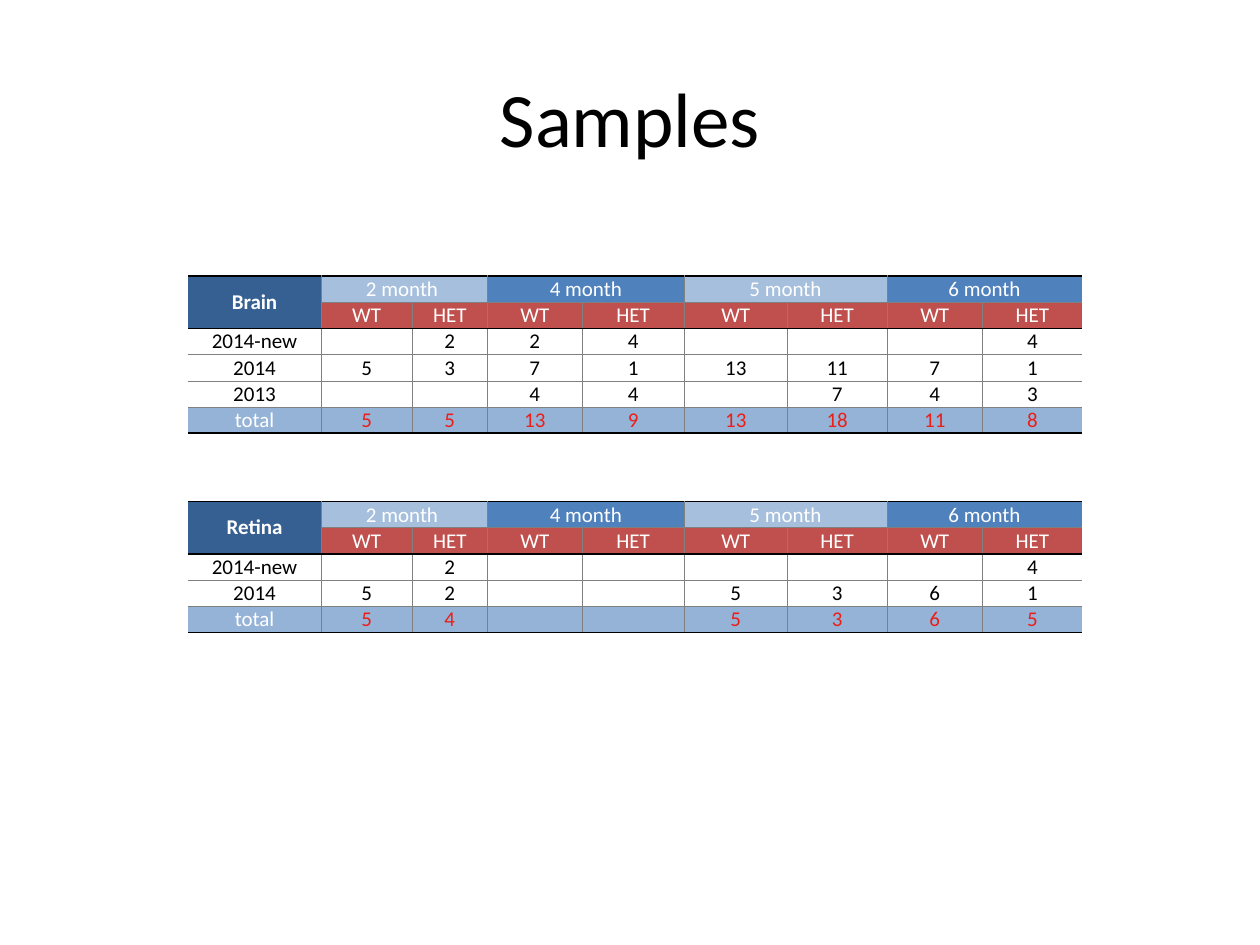
from dataclasses import dataclass
from typing import Optional

from lxml.etree import SubElement
from pptx import Presentation
from pptx.dml.color import RGBColor as RGB
from pptx.enum.text import MSO_ANCHOR as Anchor, PP_ALIGN as Align
from pptx.oxml.ns import qn
from pptx.util import Inches, Pt

FONT = "Calibri"
COLORS = {
    "black": "000000", "white": "FFFFFF", "grid": "808080", "corner": "376092",
    "month": "4F81BD", "group": "C0504D", "total": "95B3D7", "sum": "EB1E18",
}
COL_WIDTHS = [1.06, 0.72, 0.6, 0.75, 0.81, 0.82, 0.79, 0.76, 0.79]
ROW_HEIGHT = 0.208
LEFT, WIDTH = 1.49, 7.11
MONTHS = ["2 month\u00a0", "4 month", "5 month", "6 month"]
GROUPS = ["WT", "HET"]


@dataclass
class SampleTable:
    tissue: str
    top: float
    rows: list[list]  # label, then one count per month and group


@dataclass
class CellStyle:
    color: str = "black"
    fill: Optional[str] = None
    alpha: int = 100
    bold: bool = False
    anchor: Anchor = Anchor.BOTTOM


TABLES = [
    SampleTable("Brain", 2.19, [
        ["2014-new", "", 2, 2, 4, "", "", "", 4],
        ["2014", 5, 3, 7, 1, 13, 11, 7, 1],
        ["2013", "", "", 4, 4, "", 7, 4, 3],
        ["total", 5, 5, 13, 9, 13, 18, 11, 8],
    ]),
    SampleTable("Retina", 3.98, [
        ["2014-new", "", 2, "", "", "", "", "", 4],
        ["2014", 5, 2, "", "", 5, 3, 6, 1],
        ["total", 5, 4, "", "", 5, 3, 6, 5],
    ]),
]


def set_border(cell, side: str, color: Optional[str], width: float) -> None:
    ln = SubElement(cell._tc.get_or_add_tcPr(), qn(f"a:ln{side}"), w=str(Pt(width)))
    if color is None:
        SubElement(ln, qn("a:noFill"))
    else:
        fill = SubElement(ln, qn("a:solidFill"))
        SubElement(fill, qn("a:srgbClr"), val=COLORS[color])


def draw_borders(cell, row: int, col: int, n_rows: int) -> None:
    """Grey grid, open sides, black rules around the header and at the end."""
    for side, edge in (("L", col), ("R", col + cell.span_width)):
        outer = edge in (0, len(COL_WIDTHS))
        set_border(cell, side, None if outer else "grid", 0.25)
    for side, edge in (("T", row), ("B", row + cell.span_height)):
        rule = edge in (0, 2, n_rows)
        set_border(cell, side, "black" if rule else "grid", 1 if rule else 0.25)


def style_text(p, size: float, color: str, bold: bool = False) -> None:
    p.alignment = Align.CENTER
    p.font.name, p.font.size, p.font.bold = FONT, Pt(size), bold
    p.font.color.rgb = RGB.from_string(COLORS[color])


def fill_cell(cell, text: str, style: CellStyle) -> None:
    cell.margin_left = cell.margin_right = cell.margin_top = cell.margin_bottom = 0
    cell.vertical_anchor = style.anchor
    p = cell.text_frame.paragraphs[0]
    if text:
        p.text = text
    else:  # keeps an empty cell from stretching its row
        p._p.get_or_add_endParaRPr().set("sz", "1200")
    style_text(p, 12, style.color, style.bold)
    if style.fill is None:
        cell.fill.background()
        return
    cell.fill.solid()
    cell.fill.fore_color.rgb = RGB.from_string(COLORS[style.fill])
    if style.alpha < 100:
        clr = cell._tc.tcPr.find(qn("a:solidFill")).find(qn("a:srgbClr"))
        SubElement(clr, qn("a:alpha"), val=str(style.alpha * 1000))


def cell_style(row: int, col: int, n_rows: int) -> CellStyle:
    if row < 2 and col == 0:
        return CellStyle("white", "corner", bold=True, anchor=Anchor.MIDDLE)
    if row == 0:
        return CellStyle("white", "month", alpha=50 if col % 4 == 1 else 100)
    if row == 1:
        return CellStyle("white", "group")
    if row == n_rows - 1:
        return CellStyle("sum" if col else "white", "total")
    return CellStyle()


def draw_table(slide, data: SampleTable) -> None:
    months = [text for month in MONTHS for text in (month, "")]
    content = [[data.tissue] + months, [""] + GROUPS * len(MONTHS)] + data.rows
    n_rows, n_cols = len(content), len(COL_WIDTHS)
    table = slide.shapes.add_table(
        n_rows, n_cols, Inches(LEFT), Inches(data.top),
        Inches(WIDTH), Inches(ROW_HEIGHT * n_rows)).table
    table.first_row = table.horz_banding = False
    for column, width in zip(table.columns, COL_WIDTHS):
        column.width = Inches(width)
    for row in table.rows:
        row.height = Inches(ROW_HEIGHT)

    # Header spans
    table.cell(0, 0).merge(table.cell(1, 0))
    for col in range(1, n_cols, 2):
        table.cell(0, col).merge(table.cell(0, col + 1))

    for r, values in enumerate(content):
        for c, value in enumerate(values):
            cell = table.cell(r, c)
            if not cell.is_spanned:
                draw_borders(cell, r, c, n_rows)
            fill_cell(cell, str(value), cell_style(r, c, n_rows))


def draw_title(slide, text: str) -> None:
    box = slide.shapes.add_textbox(Inches(0.5), Inches(0.3), Inches(9), Inches(1.25))
    tf = box.text_frame
    tf.word_wrap = True
    tf.vertical_anchor = Anchor.MIDDLE
    tf.text = text
    style_text(tf.paragraphs[0], 44, "black")


def main() -> None:
    prs = Presentation()
    prs.slide_width, prs.slide_height = Inches(10), Inches(7.5)
    slide = prs.slides.add_slide(prs.slide_layouts[6])
    draw_title(slide, "Samples")
    for data in TABLES:
        draw_table(slide, data)
    prs.save("out.pptx")


if __name__ == "__main__":
    main()
